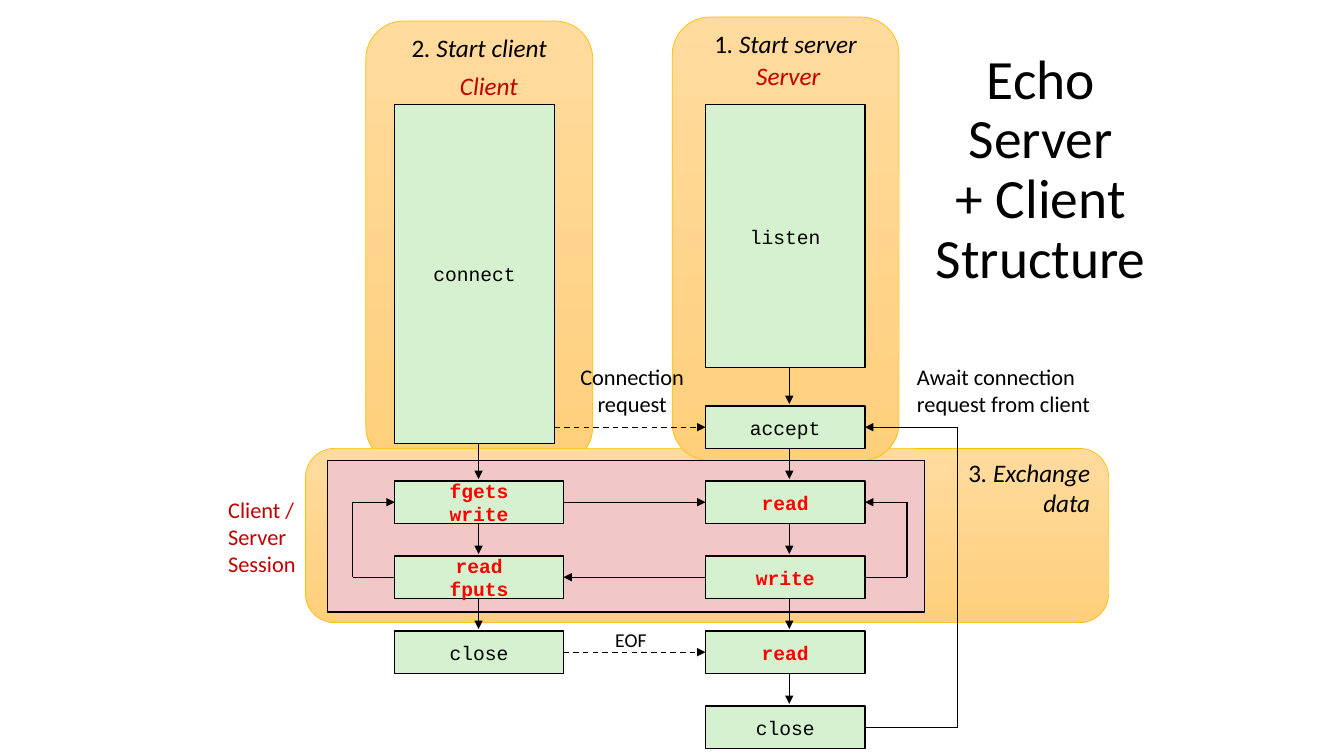
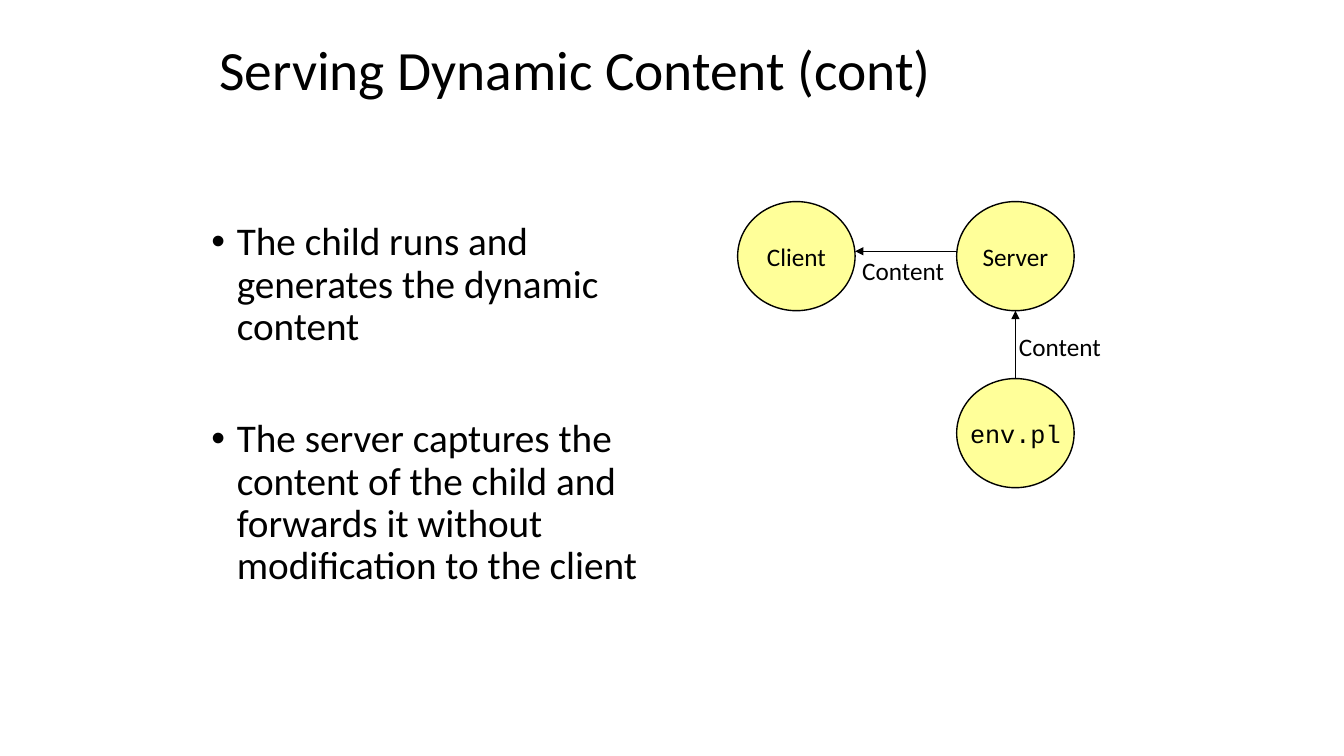
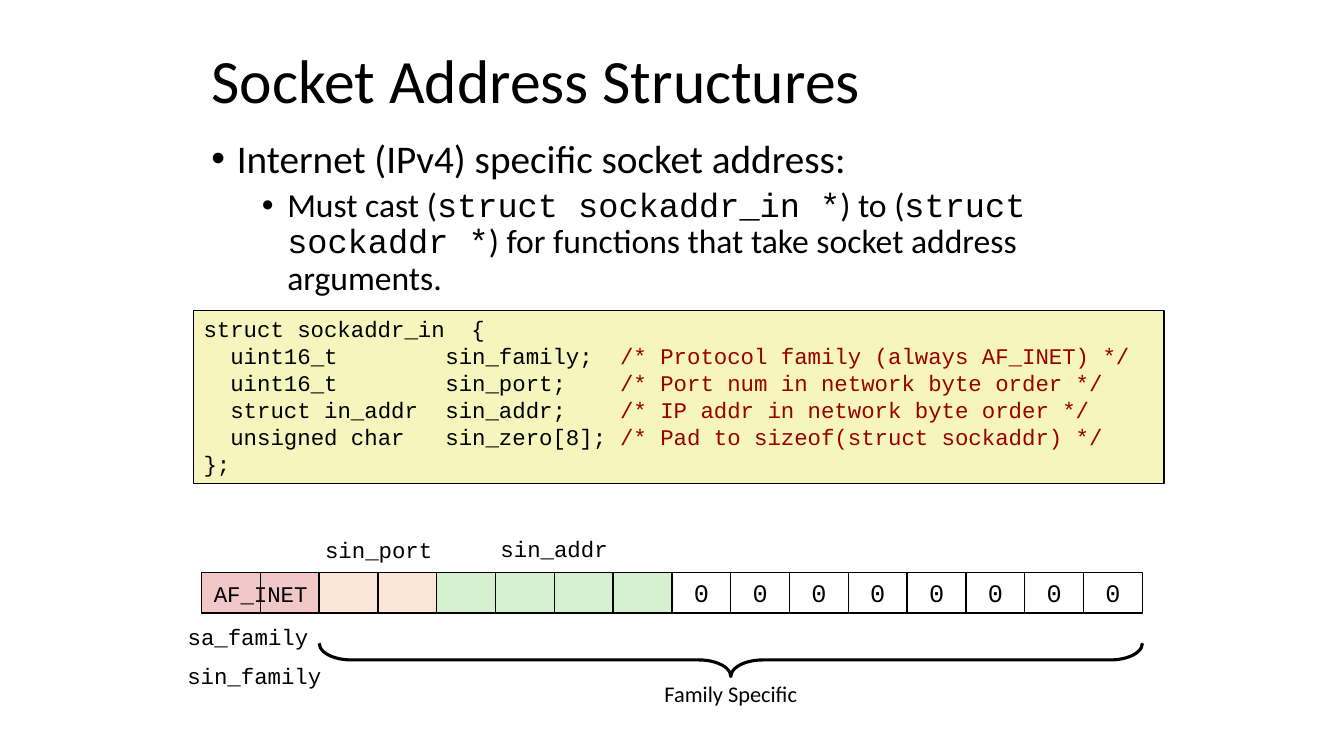
from dataclasses import dataclass
from itertools import pairwise

from pptx import Presentation
from pptx.dml.color import RGBColor
from pptx.enum import dml, shapes, text
from pptx.oxml import ns, xmlchemy
from pptx.util import Cm, Pt

SHAPE = shapes.MSO_SHAPE
ALIGN = text.PP_ALIGN
ANCHOR = text.MSO_ANCHOR


@dataclass(frozen=True)
class Theme:
    sans: str = "Calibri"
    mono: str = "Courier New"
    ink: str = "000000"
    paper: str = "FFFFFF"
    accent: str = "C00000"
    call: str = "FF0000"
    comment: str = "990000"
    green: str = "D5F1CF"
    pink: str = "F1C7C7"
    peach: str = "FBE5D6"
    yellow: str = "FFFF99"
    code_fill: str = "F6F5BD"
    stage_top: str = "FFDB9E"
    stage_end: str = "FFD07C"
    stage_line: str = "FFC000"
    title: float = 39.6
    large_title: float = 44
    body: float = 28
    detail: float = 24
    label: float = 18
    small: float = 16
    step: float = 14


THEME = Theme()


@dataclass(frozen=True)
class Box:
    """A rectangle in centimetres."""
    left: float
    top: float
    width: float
    height: float

    @property
    def right(self):
        return self.left + self.width

    @property
    def bottom(self):
        return self.top + self.height

    @property
    def middle(self):
        return self.top + self.height / 2

    @property
    def center(self):
        return self.left + self.width / 2

    def inside(self, dx, dy, width, height):
        return Box(self.left + dx, self.top + dy, width, height)

    def lengths(self):
        return [Cm(v) for v in (self.left, self.top, self.width, self.height)]


# ---- Shared building blocks ----

def color(value):
    return RGBColor.from_string(value)


def add_element(parent, tag, **attributes):
    element = xmlchemy.OxmlElement(tag)
    for name, value in attributes.items():
        element.set(name, str(value))
    parent.append(element)
    return element


def style_font(font, face=None, size=None, ink=None, bold=None, italic=None):
    if face:
        font.name = face
    if size:
        font.size = Pt(size)
    if ink:
        font.color.rgb = color(ink)
    if bold is not None:
        font.bold = bold
    if italic is not None:
        font.italic = italic


def write(shape, paragraphs, size, face=THEME.sans, ink=THEME.ink, bold=None,
          italic=None, align=ALIGN.CENTER, anchor=ANCHOR.MIDDLE, wrap=False,
          top_inset=0.13, spacing=None):
    """Fill a shape; a paragraph is a string or a list of (text, font) spans."""
    frame = shape.text_frame
    frame.word_wrap = wrap
    frame.vertical_anchor = anchor
    frame.margin_left = frame.margin_right = Cm(0.25)
    frame.margin_top, frame.margin_bottom = Cm(top_inset), Cm(0.13)
    for index, content in enumerate(paragraphs):
        para = frame.add_paragraph() if index else frame.paragraphs[0]
        para.alignment = align
        para.line_spacing = spacing
        style_font(para.font, face, size, ink, bold, italic)
        if isinstance(content, str):
            para.text = content
            continue
        for words, changes in content:
            span = para.add_run()
            span.text = words
            style_font(span.font, **changes)
    return frame


def add_text(page, box, paragraphs, size, **style):
    return write(page.shapes.add_textbox(*box.lengths()), paragraphs, size, **style)


def add_title(page, box, words, size=THEME.title, align=ALIGN.LEFT,
              anchor=ANCHOR.MIDDLE):
    add_text(page, box, [words], size, align=align, anchor=anchor, wrap=True,
             spacing=0.9)


def add_block(page, box, fill, kind=SHAPE.RECTANGLE, line=THEME.ink, width=1):
    block = page.shapes.add_shape(kind, *box.lengths())
    block.shadow.inherit = False
    if fill:
        block.fill.solid()
        block.fill.fore_color.rgb = color(fill)
    else:
        block.fill.background()
    block.line.color.rgb = color(line)
    block.line.width = Pt(width)
    return block


def add_arrow(page, *points, dashed=False):
    """Join the points by straight lines and end in an arrowhead."""
    for start, end in pairwise(points):
        line = page.shapes.add_connector(
            shapes.MSO_CONNECTOR.STRAIGHT, *[Cm(v) for v in start + end])
        line.line.color.rgb = color(THEME.ink)
        line.line.width = Pt(1)
        if dashed:
            line.line.dash_style = dml.MSO_LINE.DASH
        properties = line.element.spPr
        if end == points[-1]:
            add_element(properties.find(ns.qn("a:ln")), "a:tailEnd", type="triangle")
        add_element(properties, "a:effectLst")


def set_bullet(para, indent, before):
    para.space_before = Pt(before)
    properties = para.font and para._p.pPr
    properties.set("marL", str(Cm(indent)))
    properties.set("indent", str(-Cm(0.64)))
    defaults = properties.find(ns.qn("a:defRPr"))
    for tag, attributes in (("a:buFont", {"typeface": "Arial"}),
                            ("a:buChar", {"char": "•"})):
        defaults.addprevious(add_element(properties, tag, **attributes))


def set_tabs(para, stops):
    properties = para._p.pPr
    tabs = add_element(properties, "a:tabLst")
    for stop in stops:
        add_element(tabs, "a:tab", pos=int(Cm(stop)), algn="l")
    properties.find(ns.qn("a:defRPr")).addprevious(tabs)


# ---- Slide 1: server and client flow ----

def add_stage(page, box, number, lines, align=ALIGN.CENTER):
    stage = add_block(page, box, None, SHAPE.ROUNDED_RECTANGLE, THEME.stage_line, 0.5)
    stage.fill.gradient()
    stage.fill.gradient_angle = 270
    for stop, shade in zip(stage.fill.gradient_stops,
                           (THEME.stage_top, THEME.stage_end)):
        stop.color.rgb = color(shade)
    first, *rest = lines
    italic = {"italic": True}
    heading = [[(number, {}), (f". {first}", italic)]]
    write(stage, heading + [[(line, italic)] for line in rest], THEME.label,
          align=align, anchor=ANCHOR.TOP, wrap=True, top_inset=0)


def add_step(page, box, lines, is_call):
    write(add_block(page, box, THEME.green), lines, THEME.step, face=THEME.mono,
          ink=THEME.call if is_call else THEME.ink, bold=is_call)


def add_loop(page, start, end, x):
    """Lead from one box edge out to x and back to another edge."""
    add_arrow(page, start, (x, start[1]), (x, end[1]), end)


def add_flow(page, area):
    """Place both columns of steps, their arrows and the captions in the area."""
    row_top, pitch, height = 7.59, 1.89, 1.07
    server_dx, server_width, client_width = 7.83, 4.02, 4.25

    def row(dx, width, index):
        return area.inside(dx, row_top + index * pitch, width, height)

    client = [area.inside(0, 0, server_width, 8.53)]
    client += [row(0, client_width, index) for index in (1, 2, 3)]
    server = [area.inside(server_dx, 0, server_width, 6.63)]
    server += [row(server_dx, server_width, index) for index in range(5)]
    _, fgets, fputs, client_close = client
    _, accept, reading, writing, eof_read, server_close = server

    # Session panel and the loops within it
    add_block(page, area.inside(-1.69, 8.97, 15.04, 3.81), THEME.pink)
    add_loop(page, (writing.right, writing.middle),
             (reading.right, reading.middle), writing.right + 1.06)
    add_loop(page, (fputs.left, fputs.middle),
             (fgets.left, fgets.middle), fputs.left - 1.06)
    add_loop(page, (server_close.right, server_close.middle),
             (accept.right, accept.middle), accept.right + 2.33)

    # Arrows down each column
    for column, dx in ((client, 2.11), (server, 9.94)):
        for upper, lower in pairwise(column):
            x = area.left + dx
            add_arrow(page, (x, upper.bottom), (x, lower.top - 0.05))

    # Messages between the columns
    for start, end, dashed in (
            ((client[0].right, accept.middle), (accept.left, accept.middle), True),
            ((fgets.right, fgets.middle), (reading.left, reading.middle), False),
            ((writing.left, writing.middle), (fputs.right, fputs.middle), False),
            ((client_close.right, client_close.middle),
             (eof_read.left, eof_read.middle), True)):
        add_arrow(page, start, end, dashed=dashed)

    # Steps
    names = [(["connect"], False), (["fgets", "write"], True),
             (["read", "fputs"], True), (["close"], False),
             (["listen"], False), (["accept"], False), (["read"], True),
             (["write"], True), (["read"], True), (["close"], False)]
    for box, (lines, is_call) in zip(client + server, names):
        add_step(page, box, lines, is_call)

    # Captions
    add_text(page, area.inside(1.38, -0.99, 1.98, 1.02), ["Client"], THEME.label,
             ink=THEME.accent, italic=True)
    add_text(page, area.inside(8.85, -1.24, 2.13, 1.02), ["Server"], THEME.label,
             ink=THEME.accent, italic=True)
    add_text(page, area.inside(-4.45, 9.74, 2.34, 2.29),
             ["Client / Server", "Session"], THEME.small, ink=THEME.accent,
             align=ALIGN.LEFT, wrap=True)
    add_text(page, area.inside(4.38, 6.38, 3.2, 1.63), ["Connection", "request"],
             THEME.small)
    add_text(page, area.inside(12.91, 6.38, 5.08, 1.63),
             ["Await connection", "request from client"], THEME.small,
             align=ALIGN.LEFT)
    add_text(page, area.inside(5.29, 13.06, 1.32, 0.86), ["EOF"], THEME.step)


def build_echo(page):
    add_stage(page, Box(9.22, 0.53, 5.72, 11.18), "2", ["Start client"])
    add_stage(page, Box(7.7, 11.3, 20.24, 4.39), "3", ["Exchange", "data"],
              ALIGN.RIGHT)
    add_stage(page, Box(16.94, 0.43, 5.72, 11.18), "1", ["Start server"])
    add_flow(page, Box(9.95, 2.64, 11.85, 16.22))
    add_title(page, Box(23.27, 2.64, 5.92, 3.33),
              "Echo\vServer\v+ Client\vStructure", align=ALIGN.CENTER)


# ---- Slide 2: dynamic content ----

def add_content_diagram(page, area):
    width, height = 2.96, 2.75
    client = area.inside(0, 0, width, height)
    server = area.inside(5.52, 0, width, height)
    script = area.inside(5.52, 4.46, width, height)
    for node, name, face in ((client, "Client", THEME.sans),
                             (server, "Server", THEME.sans),
                             (script, "env.pl", THEME.mono)):
        write(add_block(page, node, THEME.yellow, SHAPE.OVAL), [name],
              THEME.label, face=face)
    add_arrow(page, (server.center, script.top), (server.center, server.bottom))
    arrow_y = area.top + 1.25
    add_arrow(page, (server.left, arrow_y), (client.right, arrow_y))
    for dx, dy in ((2.87, 1.22), (6.82, 3.15)):
        add_text(page, area.inside(dx, dy, 2.6, 1.02), ["Content"], THEME.label)


def build_dynamic_content(page):
    add_title(page, Box(5.28, 0.94, 22.86, 1.6), "Serving Dynamic Content (cont)",
              anchor=ANCHOR.TOP)
    frame = add_text(
        page, Box(5.08, 5.46, 11.91, 12.37),
        ["The child runs and generates the dynamic content",
         "The server captures the content of the child and forwards it without "
         "modification to the client"],
        THEME.body, align=ALIGN.LEFT, anchor=ANCHOR.TOP, wrap=True, spacing=0.9)
    for para, before in zip(frame.paragraphs, (10, 50)):
        set_bullet(para, 0.64, before)
    add_content_diagram(page, Box(18.59, 5.08, 8.48, 7.21))


# ---- Slide 3: socket addresses ----

def add_code(page, box):
    fields = [("uint16_t", "sin_family;", "Protocol family (always AF_INET)"),
              ("uint16_t", "sin_port;", "Port num in network byte order"),
              ("struct in_addr", "sin_addr;", "IP addr in network byte order"),
              ("unsigned char", "sin_zero[8];", "Pad to sizeof(struct sockaddr)")]
    lines = [[(f"\t{kind}\t{name}\t", {}), (f"/* {note} */", {"ink": THEME.comment})]
             for kind, name, note in fields]
    frame = write(add_block(page, box, THEME.code_fill),
                  ["struct sockaddr_in  {", *lines, "};"], THEME.small,
                  face=THEME.mono, align=ALIGN.LEFT, anchor=ANCHOR.TOP, wrap=True)
    character = Pt(THEME.small * 0.6).cm
    for para in frame.paragraphs[1:-1]:
        set_tabs(para, [columns * character for columns in (2, 18, 31)])


def add_byte_layout(page, area):
    """Draw sixteen equal bytes along the area, with labels and a brace."""
    fills = [THEME.pink] * 2 + [THEME.peach] * 2 + [THEME.green] * 4 + [THEME.paper] * 8
    cell = area.width / len(fills)
    for index, fill in enumerate(fills):
        block = add_block(page, area.inside(index * cell, 0, cell, area.height), fill)
        if fill == THEME.paper:
            write(block, ["0"], THEME.label, face=THEME.mono)

    for name, dx, dy, width in (("sin_port", 2.84, -1.04, 3.25),
                                ("sin_addr", 7.26, -1.07, 3.25),
                                ("AF_INET", 0.03, 0.05, 2.92),
                                ("sa_family", -0.61, 1.14, 3.56),
                                ("sin_family", -0.64, 2.13, 3.94)):
        add_text(page, area.inside(dx, dy, width, 0.94), [name], THEME.small,
                 face=THEME.mono, anchor=ANCHOR.TOP)

    # Brace below every byte after the family
    length, thickness = 14 * cell, 0.84
    middle = 9 * cell
    brace = add_block(
        page, area.inside(middle - thickness / 2, 2.2 - length / 2, thickness, length),
        None, SHAPE.RIGHT_BRACE, width=2.25)
    brace.rotation = 90
    brace.adjustments[0], brace.adjustments[1] = 0.96, 0.5
    add_text(page, area.inside(middle - 2, 2.59, 4, 0.94), ["Family Specific"],
             THEME.small, anchor=ANCHOR.TOP)


def build_socket_address(page):
    add_title(page, Box(5.08, 1.02, 24.21, 2.16), "Socket Address Structures",
              THEME.large_title)
    detail, code = {"size": THEME.detail}, {"size": THEME.detail, "face": THEME.mono}
    frame = add_text(
        page, Box(5.08, 3.38, 23.09, 4.65),
        ["Internet (IPv4) specific socket address:",
         [("Must cast (", detail), ("struct sockaddr_in *", code), (") to (", detail),
          ("struct sockaddr *", code),
          (") for functions that take socket address arguments.", detail)]],
        THEME.body, align=ALIGN.LEFT, anchor=ANCHOR.TOP, wrap=True, spacing=0.9)
    for para, indent, before in zip(frame.paragraphs, (0.64, 1.91), (10, 5)):
        set_bullet(para, indent, before)
    frame.paragraphs[1].level = 1
    add_code(page, Box(4.88, 7.82, 24.46, 4.37))
    add_byte_layout(page, Box(5.08, 14.43, 23.71, 1.02))


def main():
    deck = Presentation()
    deck.slide_width, deck.slide_height = Cm(33.87), Cm(19.05)
    for build in (build_echo, build_dynamic_content, build_socket_address):
        build(deck.slides.add_slide(deck.slide_layouts[6]))
    deck.save("out.pptx")


if __name__ == "__main__":
    main()
